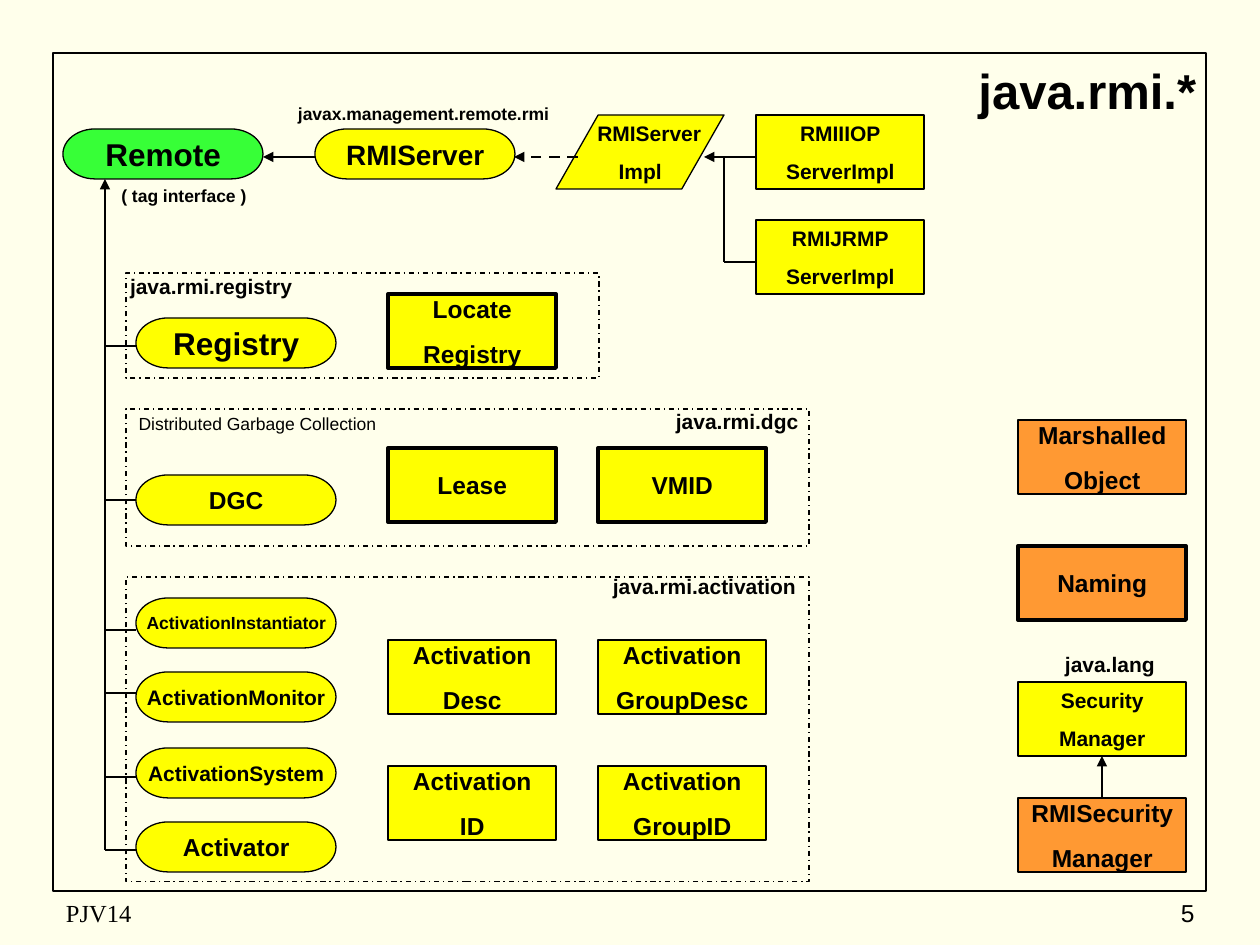
from pptx import Presentation
from pptx import util as u
from pptx.dml.color import RGBColor
from pptx.enum import dml, shapes, text
from pptx.oxml.ns import qn
from lxml import etree

PX = 914400 // 126
BLACK, CREAM = "000000", "FFFFEB"
YELLOW, ORANGE, GREEN = "FFFF00", "FF9933", "37FF37"
KIND = shapes.MSO_SHAPE
LEFT, MID, RIGHT = text.PP_ALIGN.LEFT, text.PP_ALIGN.CENTER, text.PP_ALIGN.RIGHT
TOP, HALF = text.MSO_ANCHOR.TOP, text.MSO_ANCHOR.MIDDLE

BOX, PILL = (168, 74), (200, 50)
PILL_X, SPINE = 136, 105
COLS = (388, 598, 1018)

# name, x, y, size, fill
PILLS = [
    ("Remote", 63, 129, 18, GREEN),
    ("RMIServer", 315, 129, 16, YELLOW),
    ("Registry", PILL_X, 318, 18, YELLOW),
    ("DGC", PILL_X, 475, 14, YELLOW),
    ("ActivationInstantiator", PILL_X, 598, 10, YELLOW),
    ("ActivationMonitor", PILL_X, 672, 12, YELLOW),
    ("ActivationSystem", PILL_X, 748, 12, YELLOW),
    ("Activator", PILL_X, 822, 14, YELLOW),
]
# name, x, y, size, fill, line weight
BOXES = [
    ("RMIIIOP\nServerImpl", 756, 115, 12, YELLOW, 1.5),
    ("RMIJRMP\nServerImpl", 756, 220, 12, YELLOW, 1.5),
    ("Locate\nRegistry", COLS[0], 294, 14, YELLOW, 2.25),
    ("Lease", COLS[0], 448, 14, YELLOW, 2.25),
    ("VMID", COLS[1], 448, 14, YELLOW, 2.25),
    ("Activation\nDesc", COLS[0], 640, 14, YELLOW, 1.5),
    ("Activation\nGroupDesc", COLS[1], 640, 14, YELLOW, 1.5),
    ("Activation\nID", COLS[0], 766, 14, YELLOW, 1.5),
    ("Activation\nGroupID", COLS[1], 766, 14, YELLOW, 1.5),
    ("Marshalled\nObject", COLS[2], 420, 14, ORANGE, 1.5),
    ("Naming", COLS[2], 546, 14, ORANGE, 2.25),
    ("Security\nManager", COLS[2], 682, 12, YELLOW, 1.5),
    ("RMISecurity\nManager", COLS[2], 798, 14, ORANGE, 1.5),
]
PACKS = [(126, 273, 473, 105), (126, 409, 683, 137), (126, 577, 683, 305)]
# words, place, size, bold, font, align, anchor, left margin
NOTES = [
    ("java.rmi.*", (914, 53, 346, 73), 28, True, "Arial", MID, HALF, 13),
    ("javax.management.remote.rmi", (262, 97, 305, 34), 10, True, "Arial", LEFT, TOP, 36),
    ("( tag interface )", (105, 179, 157, 34), 10, True, "Arial", MID, TOP, 13),
    ("java.rmi.registry", (94, 267, 221, 38), 12, True, "Arial", LEFT, TOP, 36),
    ("Distributed Garbage Collection", (94, 407, 326, 34), 10, False, "Arial", MID, TOP, 13),
    ("java.rmi.dgc", (640, 402, 179, 38), 12, True, "Arial", LEFT, TOP, 36),
    ("java.rmi.activation", (577, 567, 252, 38), 12, True, "Arial", LEFT, TOP, 36),
    ("java.lang", (1029, 645, 147, 38), 12, True, "Arial", LEFT, TOP, 36),
    ("PJV14", (53, 892, 399, 42), 14, False, "Times New Roman", LEFT, HALF, 13),
    ("5", (945, 892, 262, 42), 14, False, "Arial", RIGHT, HALF, 13),
]
# start, end, arrow, dashed
WIRES = [
    ((SPINE, 850), (SPINE, 179), True, False),
    ((315, 157), (263, 157), True, False),
    ((578, 157), (514, 157), True, True),
    ((756, 157), (704, 157), True, False),
    ((724, 157), (724, 262), False, False),
    ((724, 262), (756, 262), False, False),
] + [((SPINE, y), (PILL_X, y), False, False) for y in (346, 630, 693, 777, 850)]


def hue(code):
    return RGBColor.from_string(code)


def put(obj, **vals):
    for key, val in vals.items():
        setattr(obj, key, val)


def write(shape, words, size, bold=True, font="Arial", align=MID,
          anchor=HALF, wrap=False, left=13):
    frame = shape.text_frame
    put(frame, text=words, word_wrap=wrap, vertical_anchor=anchor, margin_left=left * PX)
    for i, para in enumerate(frame.paragraphs):
        para.alignment = align
        if i:
            para.space_before = u.Pt(round(size * 0.625, 1))
        put(para.font, size=u.Pt(size), bold=bold, name=font)
        para.font.color.rgb = hue(BLACK)


def draw(slide, kind, place, fill, weight, dash=None):
    shape = slide.shapes.add_shape(kind, *(n * PX for n in place))
    shape.shadow.inherit = False
    if fill:
        shape.fill.solid()
        shape.fill.fore_color.rgb = hue(fill)
    else:
        shape.fill.background()
    shape.line.color.rgb = hue(BLACK)
    put(shape.line, width=u.Pt(weight), dash_style=dash)
    return shape


def wire(slide, start, end, arrow, dashed=False):
    link = slide.shapes.add_connector(
        shapes.MSO_CONNECTOR.STRAIGHT, *(n * PX for n in start + end))
    link.line.color.rgb = hue(BLACK)
    link.line.width = u.Pt(1.5)
    if dashed:
        link.line.dash_style = dml.MSO_LINE.DASH
    props = link._element.spPr
    if arrow:
        etree.SubElement(props.find(qn("a:ln")), qn("a:tailEnd"), type="triangle")
    etree.SubElement(props, qn("a:effectLst"))
    return link


def main():
    deck = Presentation()
    put(deck, slide_width=1260 * PX, slide_height=945 * PX)
    slide = deck.slides.add_slide(deck.slide_layouts[6])
    back = slide.background.fill
    back.solid()
    back.fore_color.rgb = hue(CREAM)

    draw(slide, KIND.RECTANGLE, (53, 53, 1153, 838), None, 1)
    for place in PACKS:
        draw(slide, KIND.RECTANGLE, place, None, 0.75, dml.MSO_LINE.DASH_DOT)

    nodes = {}
    for name, x, y, size, fill in PILLS:
        nodes[name] = draw(slide, KIND.FLOWCHART_TERMINATOR, (x, y, *PILL), fill, 0.75)
        write(nodes[name], name, size)
    for name, x, y, size, fill, weight in BOXES:
        nodes[name] = draw(slide, KIND.RECTANGLE, (x, y, *BOX), fill, weight)
        write(nodes[name], name, size)

    impl = draw(slide, KIND.PARALLELOGRAM, (556, 115, *BOX), YELLOW, 0.75)
    impl.adjustments[0] = 0.57
    write(impl, "RMIServer\nImpl", 12)
    first = impl.text_frame.paragraphs[0]._p.get_or_add_pPr()
    first.set("marL", str(18 * PX))

    for ends in WIRES:
        wire(slide, *ends)
    wire(slide, (SPINE, 500), (PILL_X, 500), False).end_connect(nodes["DGC"], 1)
    link = wire(slide, (1102, 798), (1102, 756), True)
    link.begin_connect(nodes["RMISecurity\nManager"], 0)
    link.end_connect(nodes["Security\nManager"], 2)

    for words, place, size, bold, font, align, anchor, left in NOTES:
        note = slide.shapes.add_textbox(*(n * PX for n in place))
        write(note, words, size, bold, font, align, anchor, True, left)
    deck.save("out.pptx")


if __name__ == "__main__":
    main()
